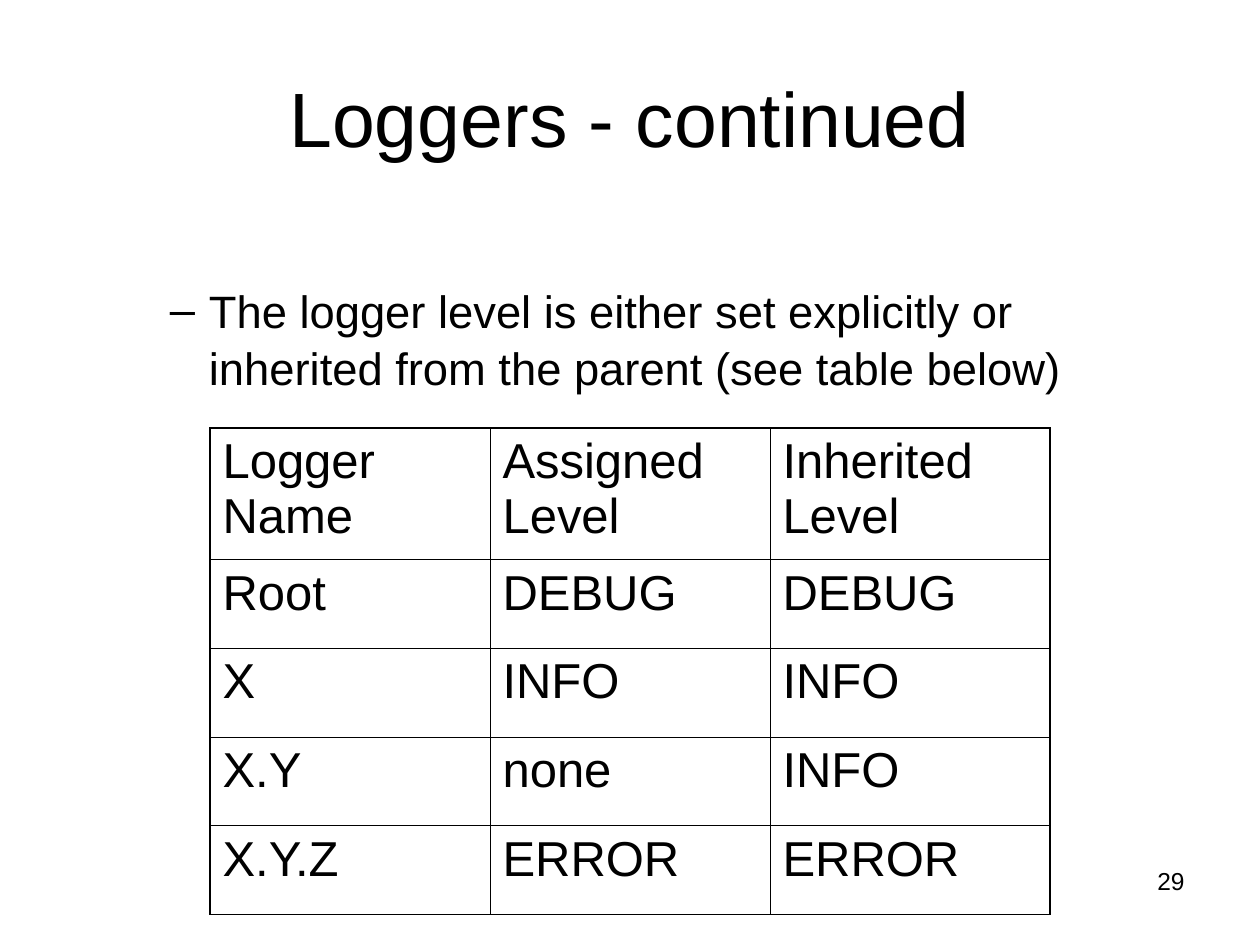
from lxml.etree import SubElement
from pptx import Presentation
from pptx.dml.color import RGBColor
from pptx.enum.text import MSO_ANCHOR, PP_ALIGN
from pptx.oxml.ns import qn
from pptx.util import Inches, Pt

COLORS = {"ink": "000000", "paper": "FFFFFF"}
FONT = "Arial"
SLIDE_WIDTH, SLIDE_HEIGHT = Inches(10), Inches(7.5)
OUTER_LINE, INNER_LINE = Pt(1.08), Pt(0.45)
SPACE_BEFORE = Pt(7)

LEVELS = [
    ("Logger Name", "Assigned Level", "Inherited Level"),
    ("Root", "DEBUG", "DEBUG"),
    ("X", "INFO", "INFO"),
    ("X.Y", "none", "INFO"),
    ("X.Y.Z", "ERROR", "ERROR"),
]
ROW_SHARES = (0.27, 0.1825, 0.1825, 0.1825, 0.1825)


def share_box(left, top, width, height):
    """Turn shares of the slide's size into lengths."""
    return (int(left * SLIDE_WIDTH), int(top * SLIDE_HEIGHT),
            int(width * SLIDE_WIDTH), int(height * SLIDE_HEIGHT))


def style_text(para, size):
    for span in para.runs:
        span.font.name = FONT
        span.font.size = Pt(size)
        span.font.color.rgb = RGBColor.from_string(COLORS["ink"])


def add_text(page, box, text, size, align=PP_ALIGN.LEFT, anchor=MSO_ANCHOR.TOP):
    frame = page.shapes.add_textbox(*box).text_frame
    frame.word_wrap = True
    frame.vertical_anchor = anchor
    frame.text = text
    para = frame.paragraphs[0]
    para.alignment = align
    style_text(para, size)
    return para


def add_dash_point(page, box, text):
    para = add_text(page, box, text, 25.9)
    para.space_before = SPACE_BEFORE
    para.line_spacing = 1.05
    properties = para._p.get_or_add_pPr()
    properties.set("marL", str(Inches(0.81)))
    properties.set("indent", str(Inches(-0.31)))
    SubElement(properties, qn("a:buFont"), typeface=FONT)
    SubElement(properties, qn("a:buChar"), char="–")


def set_borders(cell, widths):
    """Draw the borders, given as widths for left, right, top and bottom."""
    properties = cell._tc.get_or_add_tcPr()
    for position, (side, width) in enumerate(zip("LRTB", widths)):
        line = SubElement(properties, qn(f"a:ln{side}"), w=str(width))
        properties.insert(position, line)
        fill = SubElement(line, qn("a:solidFill"))
        SubElement(fill, qn("a:srgbClr"), val=COLORS["ink"])


def add_level_table(page, box, rows):
    height = box[3]
    last_row, last_column = len(rows) - 1, len(rows[0]) - 1
    table = page.shapes.add_table(len(rows), len(rows[0]), *box).table
    table.first_row = table.horz_banding = False
    for row, share in zip(table.rows, ROW_SHARES):
        row.height = int(height * share)
    for r, names in enumerate(rows):
        for c, name in enumerate(names):
            cell = table.cell(r, c)
            cell.text = name
            cell.fill.background()
            para = cell.text_frame.paragraphs[0]
            para.space_before = SPACE_BEFORE
            style_text(para, 28)
            at_edge = (c == 0, c == last_column, r == 0, r == last_row)
            set_borders(cell, [OUTER_LINE if edge else INNER_LINE
                               for edge in at_edge])


def build_logger_slide(deck):
    page = deck.slides.add_slide(deck.slide_layouts[6])
    page.background.fill.solid()
    page.background.fill.fore_color.rgb = RGBColor.from_string(COLORS["paper"])
    add_dash_point(
        page, share_box(0.075, 0.29, 0.85, 0.13),
        "The logger level is either set explicitly or inherited "
        "from the parent (see table below)")
    add_level_table(page, share_box(1 / 6, 0.453, 2 / 3, 0.515), LEVELS)
    add_text(page, share_box(0.05, 0.04, 0.9, 1 / 6), "Loggers - continued", 44,
             PP_ALIGN.CENTER, MSO_ANCHOR.MIDDLE)
    add_text(page, share_box(0.717, 0.91, 0.233, 0.07), "29", 14, PP_ALIGN.RIGHT)


def main():
    deck = Presentation()
    deck.slide_width, deck.slide_height = SLIDE_WIDTH, SLIDE_HEIGHT
    build_logger_slide(deck)
    deck.save("out.pptx")


if __name__ == "__main__":
    main()
